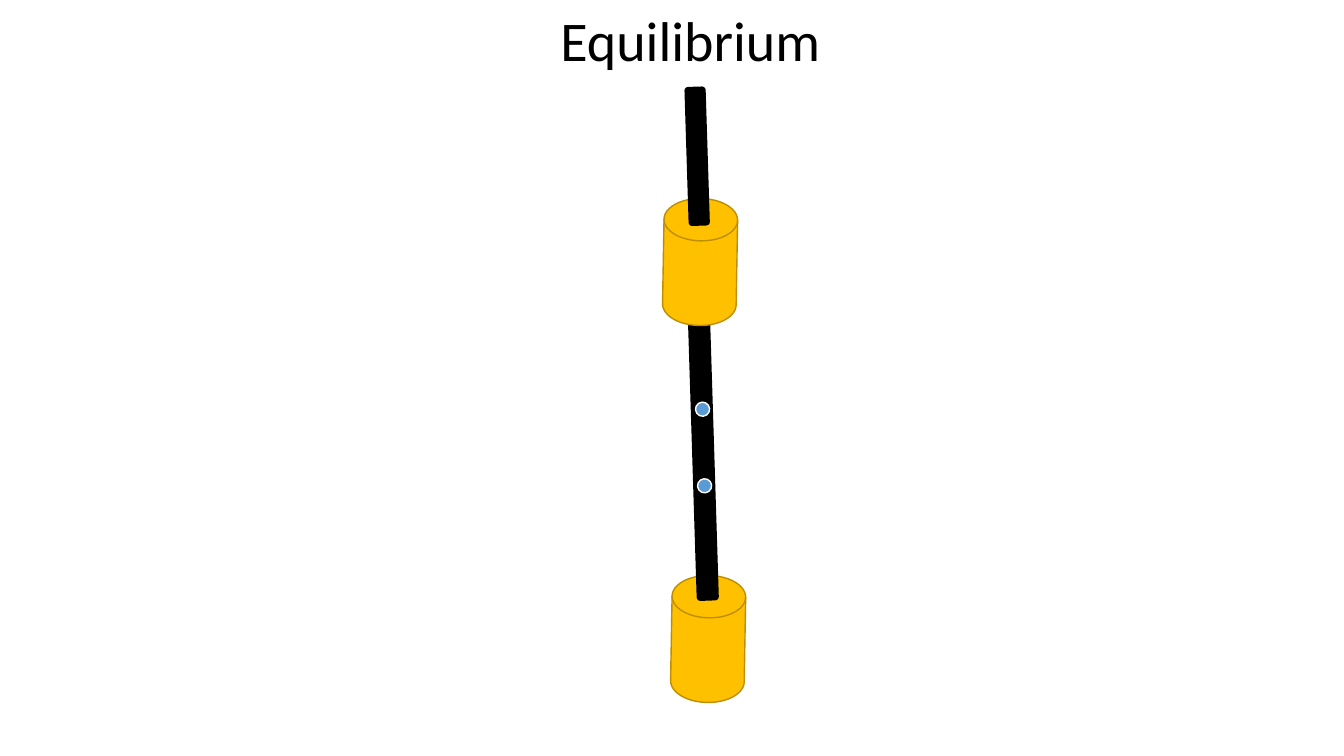
import dataclasses

import pptx
import pptx.dml.color
import pptx.enum.shapes
import pptx.enum.text
import pptx.util

SHAPE = pptx.enum.shapes.MSO_SHAPE


@dataclasses.dataclass(frozen=True)
class Theme:
    font: str = "Calibri"
    title_size: int = 40
    ink: str = "000000"
    weight_fill: str = "FFC000"
    weight_edge: str = "BD8E00"
    marker_fill: str = "5B9BD5"
    marker_edge: str = "FFFFFF"
    edge_width: int = 1


class PendulumSlide:
    """Draws on one slide; every box is left, top, width, height in percent of it."""

    def __init__(self, deck, theme):
        self.deck = deck
        self.theme = theme
        title_only = deck.slide_layouts[5]
        self.slide = deck.slides.add_slide(title_only)
        self.pendulum = self.slide.shapes.add_group_shape()

    def lengths(self, box):
        sides = (self.deck.slide_width, self.deck.slide_height) * 2
        return [round(share / 100 * side) for share, side in zip(box, sides)]

    def title(self, text, box):
        heading = self.slide.shapes.title
        heading.left, heading.top, heading.width, heading.height = self.lengths(box)
        frame = heading.text_frame
        frame.text = text
        frame.word_wrap = True
        frame.auto_size = pptx.enum.text.MSO_AUTO_SIZE.NONE
        frame.vertical_anchor = pptx.enum.text.MSO_ANCHOR.TOP
        paragraph = frame.paragraphs[0]
        paragraph.alignment = pptx.enum.text.PP_ALIGN.LEFT
        font = paragraph.runs[0].font
        font.name = self.theme.font
        font.size = pptx.util.Pt(self.theme.title_size)
        font.color.rgb = pptx.dml.color.RGBColor.from_string(self.theme.ink)

    def solid(self, preset, box, rotation, fill, edge=None):
        body = self.pendulum.shapes.add_shape(preset, *self.lengths(box))
        body.rotation = rotation
        body.shadow.inherit = False
        body.fill.solid()
        body.fill.fore_color.rgb = pptx.dml.color.RGBColor.from_string(fill)
        if edge:
            body.line.color.rgb = pptx.dml.color.RGBColor.from_string(edge)
            body.line.width = pptx.util.Pt(self.theme.edge_width)
        else:
            body.line.fill.background()

    def weight(self, left, top):
        self.solid(SHAPE.FLOWCHART_MAGNETIC_DISK, (left, top, 5.48, 16.8), 1,
                   self.theme.weight_fill, self.theme.weight_edge)

    def rod(self, *box):
        self.solid(SHAPE.ROUNDED_RECTANGLE, box, 358.2, self.theme.ink)

    def marker(self, left, top):
        self.solid(SHAPE.OVAL, (left, top, 1.05, 1.87), 24.2,
                   self.theme.marker_fill, self.theme.marker_edge)


def main():
    deck = pptx.Presentation()
    deck.slide_width = pptx.util.Inches(13.33)
    deck.slide_height = pptx.util.Inches(7.5)

    slide = PendulumSlide(deck, Theme())
    slide.title("Equilibrium", (40.95, 0, 21.83, 10.27))
    slide.weight(49.95, 76.13)
    slide.rod(51.45, 35.2, 1.65, 44.27)
    slide.weight(49.35, 26.27)
    slide.rod(51.08, 11.47, 1.58, 18.4)
    slide.marker(51.9, 63.33)
    slide.marker(51.75, 53.2)

    deck.save("out.pptx")


if __name__ == "__main__":
    main()
